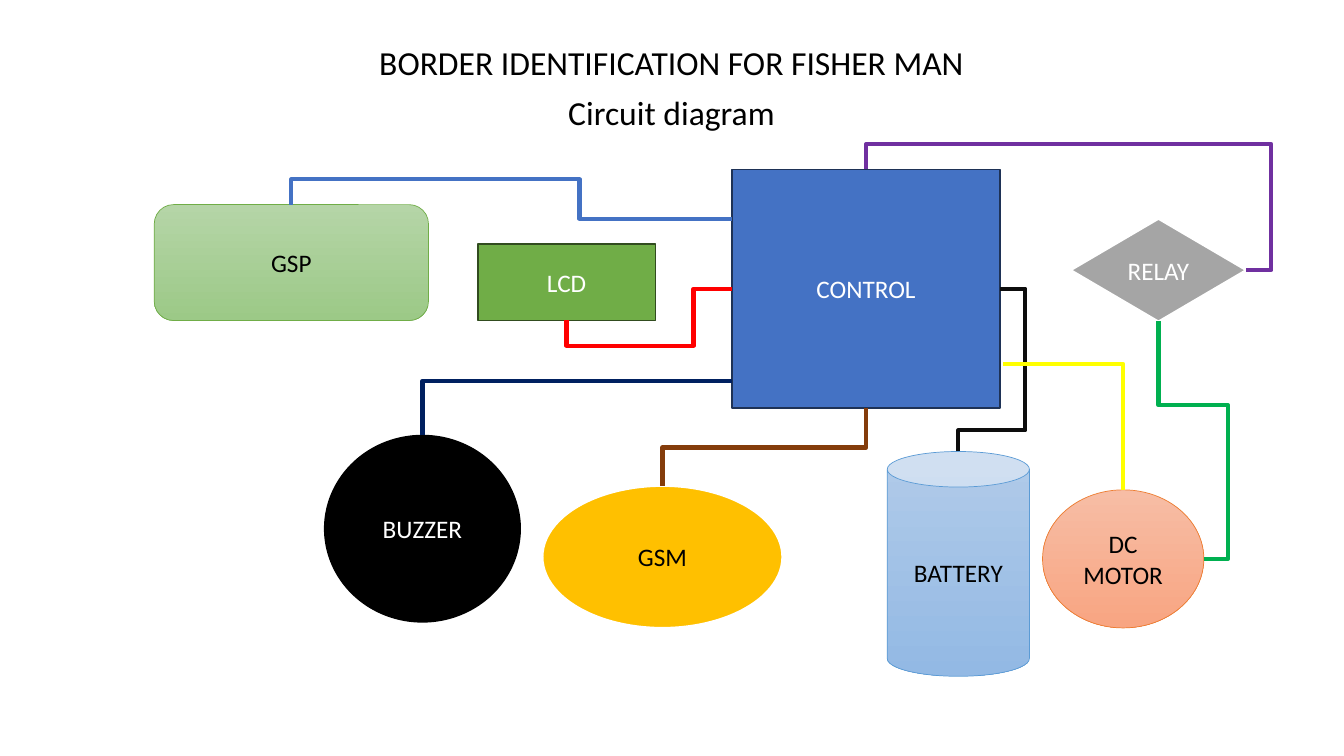
from lxml.etree import SubElement
from pptx import Presentation
from pptx.dml.color import RGBColor
from pptx.enum.shapes import MSO_CONNECTOR, MSO_SHAPE as SHAPE
from pptx.enum.text import MSO_ANCHOR, MSO_AUTO_SIZE, PP_ALIGN
from pptx.oxml.ns import qn
from pptx.util import Inches, Pt

FONT = "Calibri"
HEADING = ["BORDER IDENTIFICATION FOR FISHER MAN", "Circuit diagram"]
HEADING_BOX = (0.37, 0.41, 12.58, 6.84)

# label: preset, box, fill (two colours make a gradient), line, line width, text colour
COMPONENTS = {
    "CONTROL": (SHAPE.RECTANGLE, (7.26, 1.68, 2.66, 2.37), ["4472C4"], "1E3256", 1, "FFFFFF"),
    "GSP": (SHAPE.ROUNDED_RECTANGLE, (1.53, 2.03, 2.72, 1.15), ["B5D5A7", "9CC987"], "70AD47", 0.5, "000000"),
    "GSM": (SHAPE.OVAL, (5.38, 4.82, 2.38, 1.41), ["FFC000"], "FFFFFF", 1.5, "000000"),
    "BUZZER": (SHAPE.FLOWCHART_CONNECTOR, (3.22, 4.32, 1.94, 1.85), ["000000"], "000000", 1, "FFFFFF"),
    "RELAY": (SHAPE.FLOWCHART_DECISION, (10.62, 2.17, 1.74, 1.02), ["A5A5A5"], "FFFFFF", 1.5, "FFFFFF"),
    "LCD": (SHAPE.RECTANGLE, (4.74, 2.42, 1.76, 0.76), ["70AD47"], "314C1F", 1, "FFFFFF"),
    "BATTERY": (SHAPE.CAN, (8.8, 4.48, 1.41, 2.23), ["B1CBE9", "93B9E4"], "5B9BD5", 0.5, "000000"),
    "DC MOTOR": (SHAPE.FLOWCHART_CONNECTOR, (10.34, 4.86, 1.6, 1.37), ["F7BDA5", "F8A582"], "ED7D31", 0.5, "000000"),
}

# Position of each side's middle as a fraction of the box
SIDES = {"top": (0.5, 0), "left": (0, 0.5), "bottom": (0.5, 1), "right": (1, 0.5)}

# start, end (a component's side or a point), colour, and the coordinates of the
# bends, which alternate between the axis the wire leaves on and the other one
WIRES = [
    (("GSP", "top"), (7.26, 2.17), "4472C4", [1.78, 5.75]),
    (("GSM", "top"), ("CONTROL", "bottom"), "843C0B", [4.44]),
    (("CONTROL", "top"), ("RELAY", "right"), "7030A0", [1.43, 12.61]),
    (("DC MOTOR", "right"), ("RELAY", "bottom"), "00B050", [12.18, 4.02]),
    (("LCD", "bottom"), ("CONTROL", "left"), "FF0000", [3.43, 6.88]),
    (("BUZZER", "top"), (7.26, 3.78), "002060", []),
    (("BATTERY", "top"), ("CONTROL", "right"), "0D0D0D", [4.27, 10.17]),
    (("DC MOTOR", "top"), (9.95, 3.61), "FFFF00", []),
]


def rgb(value):
    return RGBColor.from_string(value)


def style_text(frame, size, color):
    for paragraph in frame.paragraphs:
        paragraph.alignment = PP_ALIGN.CENTER
        for run in paragraph.runs:
            run.font.name = FONT
            run.font.size = Pt(size)
            run.font.color.rgb = rgb(color)


def add_heading(slide, box):
    slide.shapes.title.element.getparent().remove(slide.shapes.title.element)
    heading = slide.placeholders[1]
    heading.left, heading.top, heading.width, heading.height = map(Inches, box)
    frame = heading.text_frame
    frame.text = "\n".join(HEADING)
    frame.auto_size = MSO_AUTO_SIZE.NONE
    frame.vertical_anchor = MSO_ANCHOR.TOP
    style_text(frame, 24, "000000")
    for paragraph in frame.paragraphs:
        paragraph.line_spacing = 0.9
        paragraph.space_before = Pt(10)


def add_component(slide, label, preset, box, fills, line, line_width, text_color):
    component = slide.shapes.add_shape(preset, *map(Inches, box))
    component.shadow.inherit = False
    if len(fills) == 1:
        component.fill.solid()
        component.fill.fore_color.rgb = rgb(fills[0])
    else:
        component.fill.gradient()
        component.fill.gradient_angle = 270
        for stop, color in zip(component.fill.gradient_stops, fills):
            stop.color.rgb = rgb(color)
    component.line.color.rgb = rgb(line)
    component.line.width = Pt(line_width)
    frame = component.text_frame
    frame.text = label
    frame.word_wrap = True
    frame.vertical_anchor = MSO_ANCHOR.MIDDLE
    style_text(frame, 18, text_color)


def locate(end):
    """Return the point of a wire's end, given as a point or as (label, side)."""
    if end[0] not in COMPONENTS:
        return end
    left, top, width, height = COMPONENTS[end[0]][1]
    across, down = SIDES[end[1]]
    return left + across * width, top + down * height


def add_wire(slide, start, end, color, bends):
    """Draw a bent connector; one leaving vertically is a horizontal one turned by 90°."""
    first, last = locate(start), locate(end)
    vertical = start[1] in ("top", "bottom")
    axes = (1, 0) if vertical else (0, 1)
    run, rise = (last[axis] - first[axis] for axis in axes)
    width, height = abs(run), abs(rise)
    left = (first[0] + last[0] - width) / 2
    top = (first[1] + last[1] - height) / 2
    wire = slide.shapes.add_connector(
        MSO_CONNECTOR.ELBOW, *map(Inches, (left, top, left + width, top + height)))
    wire.line.color.rgb = rgb(color)
    wire.line.width = Pt(3)

    properties = wire.element.spPr
    SubElement(properties, qn("a:effectLst"))
    frame = properties.find(qn("a:xfrm"))
    frame.set("rot", str(90 * 60000 if vertical else 0))
    frame.set("flipH", str(int(run < 0)))
    frame.set("flipV", str(int((rise > 0) if vertical else (rise < 0))))
    geometry = properties.find(qn("a:prstGeom"))
    geometry.set("prst", f"bentConnector{len(bends) + 2}")
    adjustments = geometry.find(qn("a:avLst"))
    for number, (bend, axis) in enumerate(zip(bends, axes), 1):
        share = (bend - first[axis]) / (last[axis] - first[axis])
        SubElement(adjustments, qn("a:gd"), name=f"adj{number}",
                   fmla=f"val {round(share * 100000)}")


def main():
    deck = Presentation()
    deck.slide_width, deck.slide_height = Inches(13.33), Inches(7.5)
    slide = deck.slides.add_slide(deck.slide_layouts[0])
    add_heading(slide, HEADING_BOX)
    for label, details in COMPONENTS.items():
        add_component(slide, label, *details)
    for wire in WIRES:
        add_wire(slide, *wire)
    deck.save("out.pptx")


if __name__ == "__main__":
    main()
